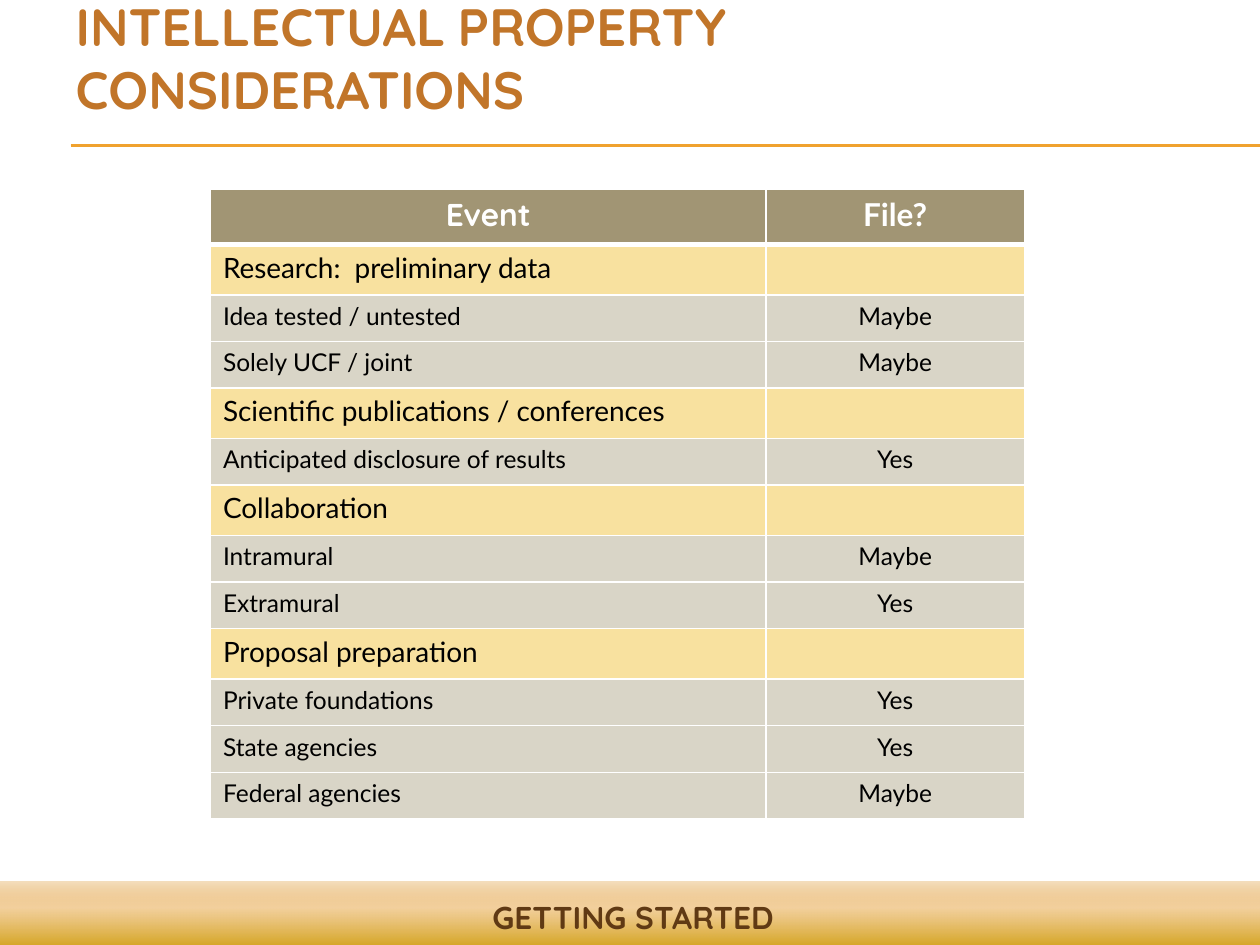
from typing import NamedTuple

import lxml.etree
import pptx
import pptx.dml.color
import pptx.enum.shapes
import pptx.enum.text
import pptx.oxml
import pptx.oxml.ns
import pptx.util

Inches = pptx.util.Inches
Pt = pptx.util.Pt
RGBColor = pptx.dml.color.RGBColor
PP_ALIGN = pptx.enum.text.PP_ALIGN
MSO_ANCHOR = pptx.enum.text.MSO_ANCHOR
qn = pptx.oxml.ns.qn

WHITE = RGBColor(0xFF, 0xFF, 0xFF)
BLACK = RGBColor(0, 0, 0)
RULE_GOLD = RGBColor(0xF0, 0xA2, 0x2E)
TITLE_ORANGE = RGBColor(0xC1, 0x75, 0x29)
FOOTER_BROWN = RGBColor(0x60, 0x3A, 0x14)
HEADER_TAUPE = RGBColor(0xA1, 0x95, 0x74)
SECTION_YELLOW = RGBColor(0xF8, 0xE1, 0x9F)
ITEM_GREY = RGBColor(0xD9, 0xD5, 0xC7)


class GradientStop(NamedTuple):
    position: int
    color: RGBColor
    opacity: int


class RowStyle(NamedTuple):
    height: float
    fill: RGBColor
    font: dict


class EventRow(NamedTuple):
    style: RowStyle
    event: str
    answer: str = ""


FOOTER_STOPS = [
    GradientStop(0, RGBColor(0xCC, 0x99, 0x00), 100),
    GradientStop(65, RGBColor(0xEF, 0xC1, 0x7E), 75),
    GradientStop(100, RGBColor(0xD6, 0x80, 0x00), 25),
]
TITLE_FONT = {"name": "Quicksand", "size": Pt(30), "bold": True}
FOOTER_FONT = {"name": "Quicksand", "size": Pt(18), "bold": True}
HEADER = RowStyle(0.44, HEADER_TAUPE, {"name": "Lato", "size": Pt(18), "bold": True})
SECTION = RowStyle(0.4, SECTION_YELLOW, {"name": "Lato", "size": Pt(16), "bold": False})
ITEM = RowStyle(0.37, ITEM_GREY, {"name": "Lato", "size": Pt(14), "bold": False})
COLUMN_WIDTHS = [4.41, 2.05]
ROWS = [
    EventRow(HEADER, "Event", "File?"),
    EventRow(SECTION, "Research:  preliminary data"),
    EventRow(ITEM, "Idea tested / untested", "Maybe"),
    EventRow(ITEM, "Solely UCF / joint", "Maybe"),
    EventRow(SECTION, "Scientific publications / conferences"),
    EventRow(ITEM, "Anticipated disclosure of results", "Yes"),
    EventRow(SECTION, "Collaboration"),
    EventRow(ITEM, "Intramural", "Maybe"),
    EventRow(ITEM, "Extramural", "Yes"),
    EventRow(SECTION, "Proposal preparation"),
    EventRow(ITEM, "Private foundations", "Yes"),
    EventRow(ITEM, "State agencies", "Yes"),
    EventRow(ITEM, "Federal agencies", "Maybe"),
]


def write(frame, text: str, font: dict, color: RGBColor, align=PP_ALIGN.LEFT):
    """Put one formatted span in the frame's first paragraph and return it."""
    para = frame.paragraphs[0]
    para.alignment = align
    span = para.add_run()
    span.text = text
    for name, value in font.items():
        setattr(span.font, name, value)
    span.font.color.rgb = color
    return span


def add_title(page) -> None:
    title = page.shapes.title
    title.left, title.top = Inches(0.5), Inches(0.3)
    title.width, title.height = Inches(8.83), Inches(0.7)
    frame = title.text_frame
    frame.word_wrap = True
    frame.auto_size = pptx.enum.text.MSO_AUTO_SIZE.NONE
    frame.vertical_anchor = MSO_ANCHOR.BOTTOM
    span = write(frame, "INTELLECTUAL PROPERTY CONSIDERATIONS", TITLE_FONT, TITLE_ORANGE)
    span.font._element.set("cap", "small")


def add_rule(page, y: float) -> None:
    rule = page.shapes.add_connector(
        pptx.enum.shapes.MSO_CONNECTOR.STRAIGHT,
        Inches(0.56), Inches(y), Inches(10), Inches(y))
    rule.line.color.rgb = RULE_GOLD
    rule.line.width = Pt(0.75)
    lxml.etree.SubElement(rule._element.spPr, qn("a:effectLst"))


def fill_gradient(shape, stops: list[GradientStop], angle: int) -> None:
    shape.fill.gradient()
    gradient = shape._element.spPr.find(qn("a:gradFill"))
    stop_list = gradient.find(qn("a:gsLst"))
    for old_stop in list(stop_list):
        stop_list.remove(old_stop)
    for stop in stops:
        entry = lxml.etree.SubElement(stop_list, qn("a:gs"), pos=str(stop.position * 1000))
        color = lxml.etree.SubElement(entry, qn("a:srgbClr"), val=str(stop.color))
        if stop.opacity < 100:
            lxml.etree.SubElement(color, qn("a:alpha"), val=str(stop.opacity * 1000))
    gradient.find(qn("a:lin")).set("ang", str(angle * 60000))


def add_footer(page) -> None:
    band = page.shapes.add_shape(
        pptx.enum.shapes.MSO_SHAPE.RECTANGLE,
        Inches(-0.01), Inches(7), Inches(10.03), Inches(0.58))
    band.shadow.inherit = False
    band.line.fill.background()
    fill_gradient(band, FOOTER_STOPS, 270)
    box = page.shapes.add_textbox(Inches(0.15), Inches(7.08), Inches(9.75), Inches(0.4))
    box.text_frame.word_wrap = True
    write(box.text_frame, "GETTING STARTED", FOOTER_FONT, FOOTER_BROWN, PP_ALIGN.CENTER)


def set_borders(cell, top: float, bottom: float) -> None:
    properties = cell._tc.get_or_add_tcPr()
    for side, width in {"L": 1, "R": 1, "T": top, "B": bottom}.items():
        line = lxml.etree.SubElement(properties, qn(f"a:ln{side}"), w=str(Pt(width)))
        solid = lxml.etree.SubElement(line, qn("a:solidFill"))
        lxml.etree.SubElement(solid, qn("a:srgbClr"), val=str(WHITE))


def add_event_table(page) -> None:
    table = page.shapes.add_table(
        len(ROWS), len(COLUMN_WIDTHS), Inches(1.67), Inches(1.5),
        Inches(sum(COLUMN_WIDTHS)), Inches(sum(row.style.height for row in ROWS))).table
    for column, width in zip(table.columns, COLUMN_WIDTHS):
        column.width = Inches(width)
    for index, row in enumerate(ROWS):
        is_header = row.style is HEADER
        table.rows[index].height = Inches(row.style.height)
        for column, text in enumerate((row.event, row.answer)):
            cell = table.cell(index, column)
            set_borders(cell, 3 if index == 1 else 1, 3 if is_header else 1)
            cell.fill.solid()
            cell.fill.fore_color.rgb = row.style.fill
            if not text:
                continue
            centered = is_header or column == 1
            font = dict(row.style.font)
            if is_header and column == 0:
                font["name"] = "Quicksand"
            write(cell.text_frame, text, font, WHITE if is_header else BLACK,
                  PP_ALIGN.CENTER if centered else PP_ALIGN.LEFT)


def main() -> None:
    deck = pptx.Presentation()
    deck.slide_width, deck.slide_height = Inches(10), Inches(7.5)
    page = deck.slides.add_slide(deck.slide_layouts.get_by_name("Title Only"))
    for y in (1.15, 1.16):
        add_rule(page, y)
    add_footer(page)
    add_event_table(page)
    add_title(page)
    deck.save("out.pptx")


if __name__ == "__main__":
    main()
